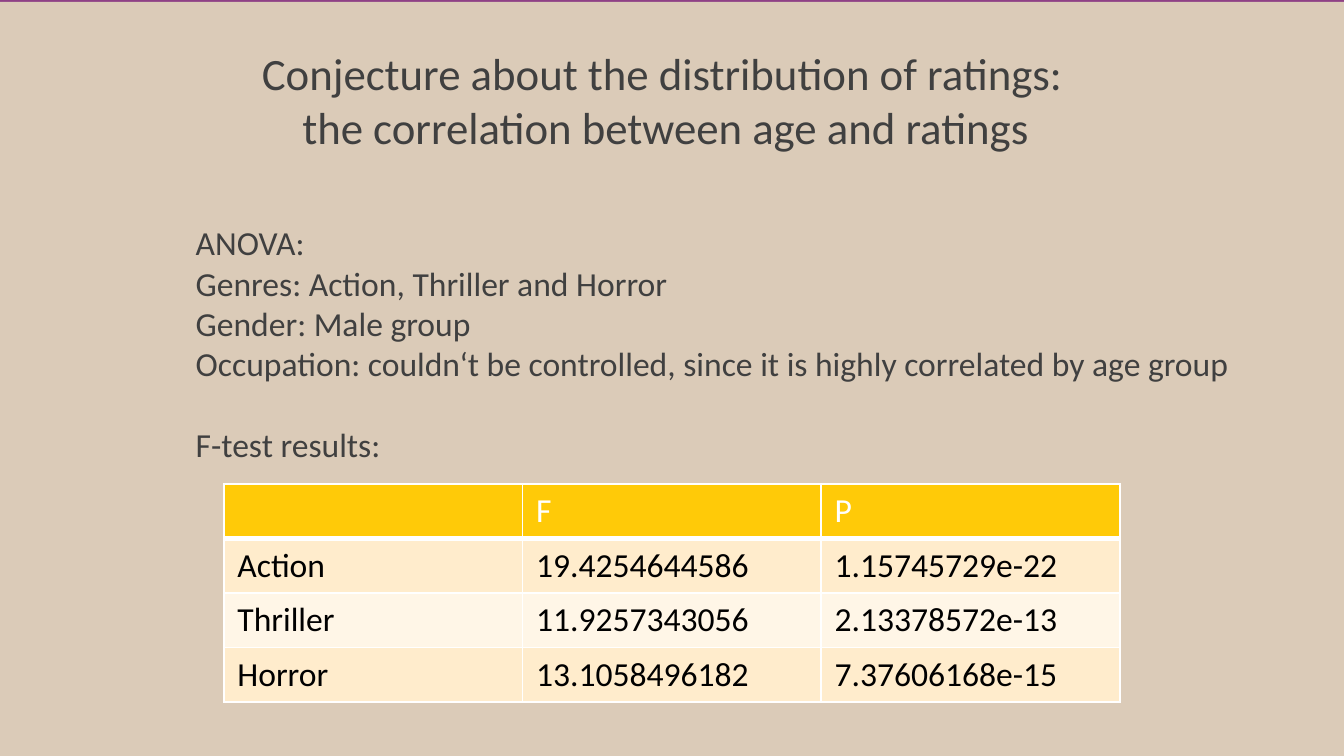
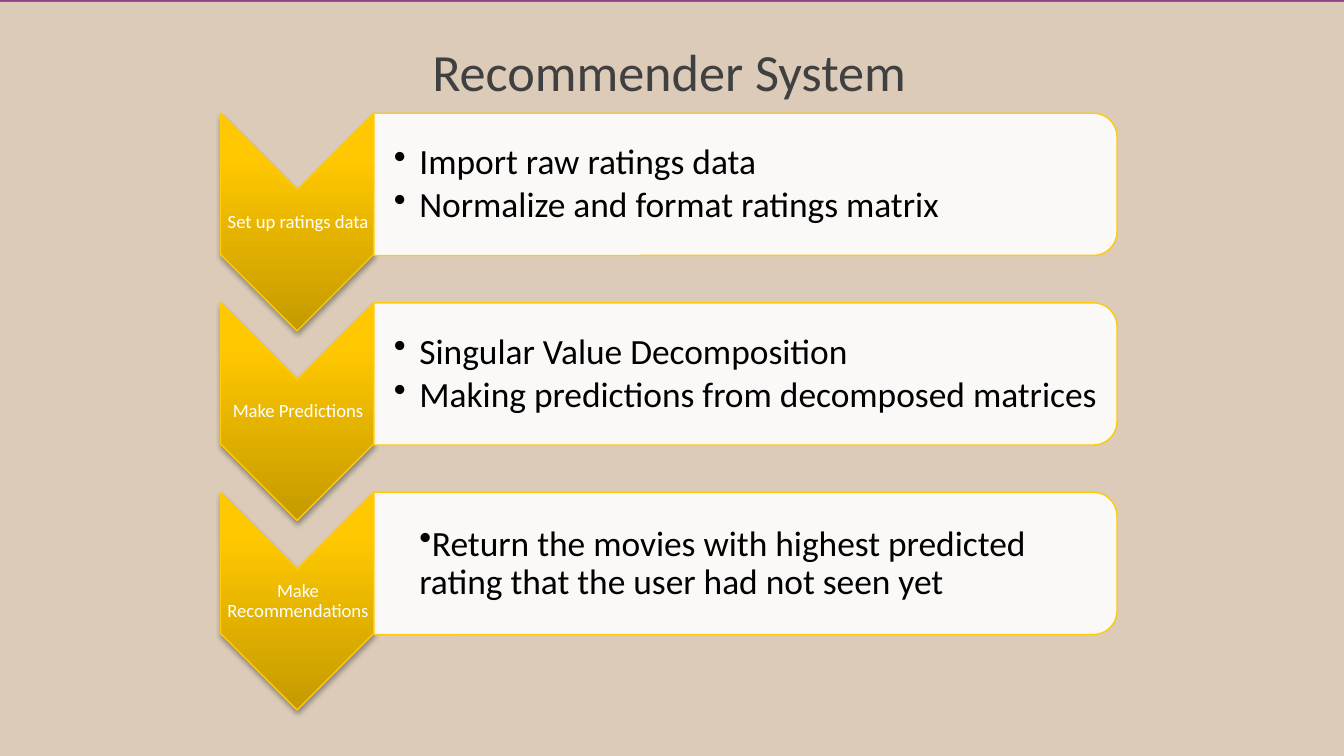
from lxml import etree
from pptx import Presentation
from pptx.dml.color import RGBColor
from pptx.enum.shapes import MSO_SHAPE
from pptx.enum.text import MSO_ANCHOR, PP_ALIGN
from pptx.oxml.ns import qn
from pptx.util import Pt

RECTANGLE = MSO_SHAPE.RECTANGLE
CHEVRON = MSO_SHAPE.CHEVRON
ROUNDED = MSO_SHAPE.ROUND_2_SAME_RECTANGLE
LEFT, CENTER = PP_ALIGN.LEFT, PP_ALIGN.CENTER
TOP, MIDDLE = MSO_ANCHOR.TOP, MSO_ANCHOR.MIDDLE

FONT = "Calibri"
PURPLE, SAND, GOLD = "8F4186", "DBCBB8", "FFCA08"
DARK, BLACK, WHITE = "404040", "000000", "FFFFFF"
BANDS = ["FFECCC", "FFF6E7"]
GRADIENT = [(0, "C49A00"), (80, "FFC800"), (100, "FFC901")]
WIDTH, HEIGHT = 720, 405

RESULTS = [
    ["", "F", "P"],
    ["Action", "19.4254644586", "1.15745729e-22"],
    ["Thriller", "11.9257343056", "2.13378572e-13"],
    ["Horror", "13.1058496182", "7.37606168e-15"],
]
STEPS = [
    ("Set up ratings data",
     ["Import raw ratings data", "Normalize and format ratings matrix"], -13.7),
    ("Make Predictions",
     ["Singular Value Decomposition",
      "Making predictions from decomposed matrices"], -13.7),
    ("Make Recommendations",
     ["Return the movies with highest predicted rating"
      " that the user had not seen yet"], 0),
]


def rgb(value):
    return RGBColor.from_string(value)


def add_element(parent, tag, **attributes):
    element = etree.SubElement(parent, qn(tag))
    for name, value in attributes.items():
        element.set(name, str(value))
    return element


def add_color(parent, color, alpha=None):
    element = add_element(parent, "a:srgbClr", val=color)
    if alpha is not None:
        add_element(element, "a:alpha", val=alpha * 1000)


def new_slide(presentation):
    slide = presentation.slides.add_slide(presentation.slide_layouts[6])
    fill = slide.background.fill
    fill.solid()
    fill.fore_color.rgb = rgb(PURPLE)
    add_shape(slide, RECTANGLE, 0, 1, WIDTH, HEIGHT - 1, fill=SAND)
    return slide


def write(paragraph, text, size=18, color=DARK, align=LEFT, left=0, hanging=0,
          bullet=None, level=0, spacing=None, before=None, after=None):
    paragraph.level = level
    properties = paragraph._p.get_or_add_pPr()
    if left:
        properties.set("marL", str(Pt(left)))
        properties.set("indent", str(Pt(hanging)))
    if bullet:
        add_element(properties, "a:buChar", char=bullet)
    paragraph.alignment = align
    paragraph.line_spacing = spacing
    if before is not None:
        paragraph.space_before = Pt(before)
    if after is not None:
        paragraph.space_after = Pt(after)
    font = paragraph.font
    font.name, font.size, font.bold = FONT, Pt(size), False
    font.color.rgb = rgb(color)
    paragraph.add_run().text = text


def add_text(slide, left, top, width, height, anchor=TOP, wrap=True,
             insets=(7.2, 3.6, 7.2, 3.6)):
    box = slide.shapes.add_textbox(Pt(left), Pt(top), Pt(width), Pt(height))
    frame = box.text_frame
    frame.word_wrap = wrap
    frame.vertical_anchor = anchor
    frame.margin_left, frame.margin_top, frame.margin_right, frame.margin_bottom = map(Pt, insets)
    return frame


def add_lines(frame, lines, **options):
    for index, line in enumerate(lines):
        text, extra = line if isinstance(line, tuple) else (line, {})
        paragraph = frame.add_paragraph() if index else frame.paragraphs[0]
        write(paragraph, text, **{**options, **extra})


def add_shape(slide, kind, left, top, width, height, fill=None, alpha=None, line=None):
    shape = slide.shapes.add_shape(kind, Pt(left), Pt(top), Pt(width), Pt(height))
    shape.shadow.inherit = False
    if fill:
        shape.fill.solid()
        shape.fill.fore_color.rgb = rgb(fill)
        if alpha is not None:
            color = shape._element.spPr.find(qn("a:solidFill"))[0]
            add_element(color, "a:alpha", val=alpha * 1000)
    if line:
        shape.line.color.rgb = rgb(line)
        shape.line.width = Pt(0.75)
    else:
        shape.line.fill.background()
    return shape


def add_turned(slide, kind, left, top, width, height, **options):
    shift = (width - height) / 2
    shape = add_shape(slide, kind, left + shift, top - shift, height, width, line=GOLD, **options)
    shape.rotation = 90
    return shape


def add_chevron(slide, left, top, width, height):
    shape = add_turned(slide, CHEVRON, left, top, width, height)
    shape.fill.gradient()
    shape.fill.gradient_angle = 90
    gradient = shape._element.spPr.find(qn("a:gradFill"))
    gradient.set("rotWithShape", "0")
    stops = gradient.find(qn("a:gsLst"))
    for stop in list(stops):
        stops.remove(stop)
    for position, color in GRADIENT:
        add_color(add_element(stops, "a:gs", pos=position * 1000), color)
    effects = shape._element.spPr.find(qn("a:effectLst"))
    shadow = add_element(effects, "a:outerShdw", blurRad=Pt(3.1), dist=Pt(1.8),
                         dir=90 * 60000, rotWithShape=0)
    add_color(shadow, BLACK, 35)


def set_borders(cell, bottom):
    properties = cell._tc.get_or_add_tcPr()
    for tag, width in (("a:lnL", 1), ("a:lnR", 1), ("a:lnT", 1), ("a:lnB", bottom)):
        border = add_element(properties, tag, w=Pt(width))
        add_color(add_element(border, "a:solidFill"), WHITE)


def add_results_table(slide, rows, left, top, width, height):
    frame = slide.shapes.add_table(len(rows), len(rows[0]), Pt(left), Pt(top),
                                   Pt(width), Pt(height))
    for row, values in enumerate(rows):
        for column, value in enumerate(values):
            cell = frame.table.cell(row, column)
            set_borders(cell, 1 if row else 3)
            cell.fill.solid()
            cell.fill.fore_color.rgb = rgb(BANDS[(row - 1) % 2] if row else GOLD)
            if value:
                write(cell.text_frame.paragraphs[0], value, color=BLACK if row else WHITE)


def add_step(slide, top, label, points, hanging):
    add_chevron(slide, 118.1, top, 82.1, 116.6)
    frame = add_text(slide, 118.6, top + 40.8, 82.1, 35.2, anchor=MIDDLE, insets=[0.5] * 4)
    add_lines(frame, [label], size=10, color=WHITE, align=CENTER, spacing=0.9)
    add_turned(slide, ROUNDED, 200.4, top, 398, 76.2, fill=WHITE, alpha=90)
    frame = add_text(slide, 200.4, top + 4, 394.4, 68.6, anchor=MIDDLE,
                     insets=(10.6, 0.8, 0.8, 0.8))
    add_lines(frame, points, size=19, color=BLACK, left=13.7, hanging=hanging,
              bullet="•", level=1, spacing=0.9, after=2.8)


def build_anova(presentation):
    slide = new_slide(presentation)
    title = add_text(slide, 133.2, 21, 454.4, 65.4, wrap=False)
    add_lines(title, [
        "Conjecture about the distribution of ratings:",
        ("the correlation between age and ratings", {"left": 21.7}),
    ], size=24)
    body = add_text(slide, 97.8, 115.5, 575.2, 160, wrap=False)
    add_lines(body, [
        "ANOVA:",
        "Genres: Action, Thriller and Horror",
        "Gender: Male group",
        "Occupation: couldn‘t be controlled, since it is highly correlated by age group",
        ("F-test results:", {"before": 21.6}),
    ])
    add_results_table(slide, RESULTS, 120, 259.4, 480, 116.8)


def build_recommender(presentation):
    slide = new_slide(presentation)
    title = add_text(slide, 177, 21, 363, 34, insets=[0] * 4)
    add_lines(title, ["Recommender System"], size=28, align=CENTER)
    for index, step in enumerate(STEPS):
        add_step(slide, 60.7 + index * 101.55, *step)


def main():
    presentation = Presentation()
    presentation.slide_width = Pt(WIDTH)
    presentation.slide_height = Pt(HEIGHT)
    build_anova(presentation)
    build_recommender(presentation)
    presentation.save("out.pptx")


if __name__ == "__main__":
    main()
